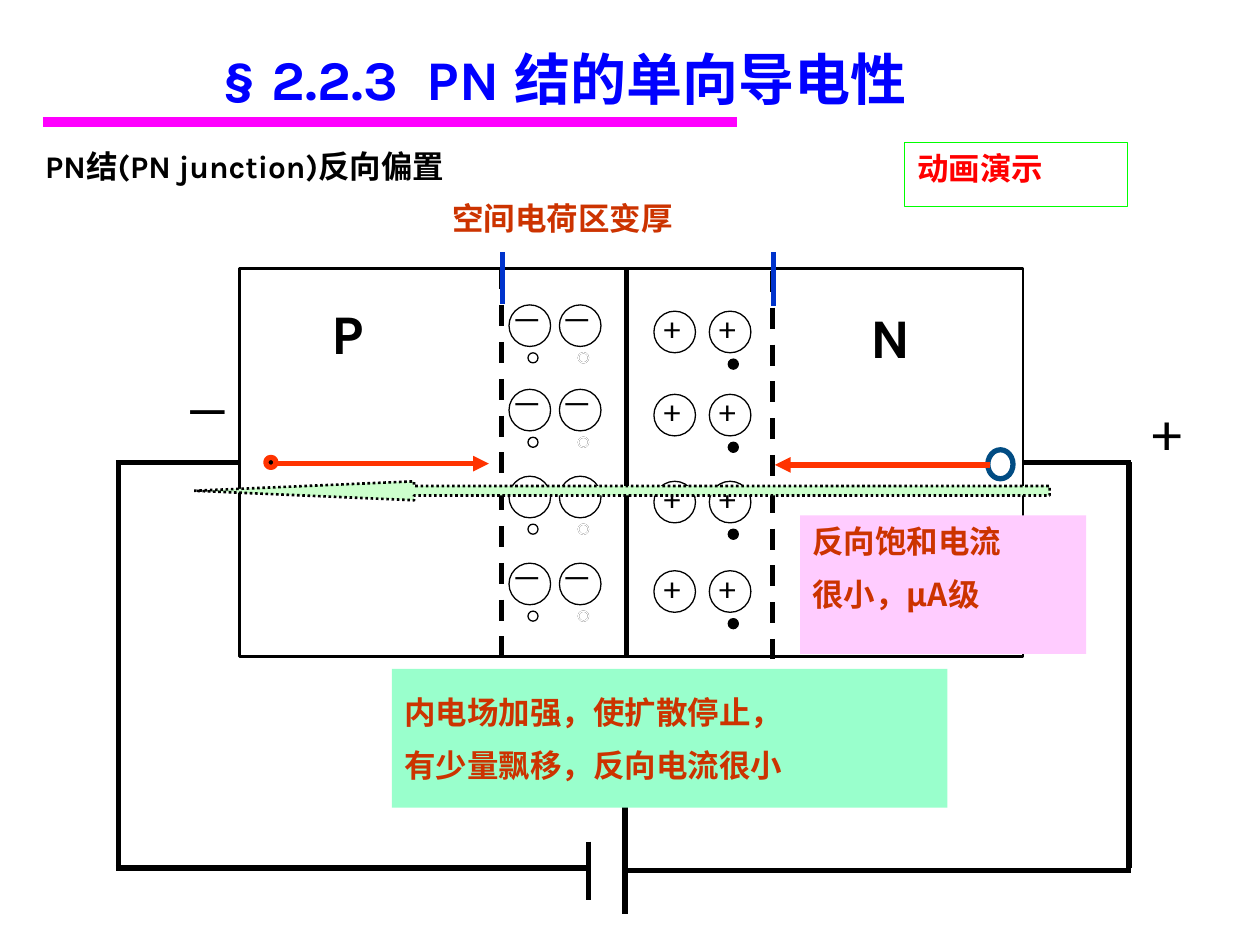
from lxml import etree
from pptx import Presentation
from pptx.dml.color import RGBColor
from pptx.enum.dml import MSO_LINE
from pptx.enum.shapes import MSO_CONNECTOR, MSO_SHAPE
from pptx.enum.text import MSO_ANCHOR, MSO_AUTO_SIZE, PP_ALIGN
from pptx.oxml.ns import qn
from pptx.util import Inches, Pt

LATIN, CJK = "Karla", "Noto Sans CJK SC"
BLACK, RED, RUST, BLUE = "000000", "FF3300", "CC3300", "0000FF"

# Content: places are (left, top, width, height) on a grid of 10 columns by 7.5 rows
TITLE = [("§", 32, BLUE), (" ", 36, "FF0000"), ("2.2.3  PN 结的单向导电性", 32, BLUE)]
TITLE_PLACE = (0.23, -0.01, 8.5, 1.21)
SUBTITLE = [("PN", LATIN), ("结", CJK), ("(PN junction)", LATIN), ("反向偏置", CJK)]
SUBTITLE_PLACE = (0.26, 1.07, 5.15, 0.5)

REGIONS = {"P": (1.9, 2.13, 3.08, 3.08), "N": (4.96, 2.13, 3.16, 3.08)}

# Ions of the space charge region
ION_SIZE, CARRIER_SIZE = 0.33, 0.08
ION_SIDES = [
    dict(sign="－", columns=(4.04, 4.44), rows=(2.42, 3.09, 3.78, 4.47),
         sign_shift=-0.08, sign_width=0.58, carrier_fill=None,
         carrier_lines=(BLACK, BLACK)),
    dict(sign="+", columns=(5.19, 5.63), rows=(2.47, 3.13, 3.82, 4.53),
         sign_shift=-0.02, sign_width=0.42, carrier_fill=BLACK,
         carrier_lines=(None, BLACK)),
]
GHOST_COLUMN = 1  # holes of this P-side column are faded by a white outline

# Lines: (from, to)
RULE = ((0.34, 0.97), (5.85, 0.97))
BOUNDARIES = [((3.98, 2.13), (3.98, 5.21)), ((6.13, 2.15), (6.13, 5.23))]
WIDTH_MARKS = [((3.99, 2), (3.99, 2.41)), ((6.14, 2), (6.14, 2.43))]
LEAD_Y = 3.67
P_LEAD = ((0.92, LEAD_Y), (1.9, LEAD_Y))
N_LEAD = ((8.98, LEAD_Y), (8.12, LEAD_Y))
WIRES = [
    ((0.94, LEAD_Y), (0.94, 6.89)), ((0.92, 6.89), (4.67, 6.89)),
    ((8.96, LEAD_Y), (8.96, 6.89)), ((4.94, 6.91), (8.98, 6.91)),
    ((4.96, 6.33), (4.96, 7.25)), ((4.67, 6.68), (4.67, 7.14)),
]
DRIFTS = [  # carrier place, fill, outline, arrow
    ((2.11, 3.63, 0.08, 0.08), BLACK, RED, ((2.18, 3.68), (3.88, 3.68))),
    ((7.84, 3.57, 0.2, 0.23), None, "014C83", ((7.86, 3.69), (6.15, 3.69))),
]
FIELD_ARROW = (1.54, 3.82, 6.79, 0.15)

LABELS = [  # text, place, size, colour, bold, anchor
    ("空间电荷区变厚", (3.49, 1.48, 3.44, 0.5), 18, RUST, True, MSO_ANCHOR.MIDDLE),
    ("N", (6.81, 2.35, 0.76, 0.63), 32, BLACK, True, MSO_ANCHOR.TOP),
    ("P", (2.53, 2.32, 0.76, 0.63), 32, BLACK, True, MSO_ANCHOR.TOP),
    ("+", (9.05, 3.08, 0.98, 0.63), 32, BLACK, False, MSO_ANCHOR.TOP),
    ("_", (1.39, 2.8, 0.98, 0.63), 32, BLACK, False, MSO_ANCHOR.TOP),
]
NOTES = [  # lines, place, fill, outline, text colour, font, anchor
    (["反向饱和电流", "很小，μA级"], (6.35, 4.09, 2.27, 1.1),
     "FFCCFF", None, RUST, CJK, MSO_ANCHOR.TOP),
    (["内电场加强，使扩散停止，", "有少量飘移，反向电流很小"], (3.11, 5.31, 4.41, 1.1),
     "99FFCC", None, RUST, LATIN, MSO_ANCHOR.MIDDLE),
    (["动画演示"], (7.18, 1.13, 1.77, 0.51),
     None, "00FF00", "FF0000", LATIN, MSO_ANCHOR.TOP),
]

prs = Presentation()
prs.slide_width, prs.slide_height = Inches(10), Inches(7.5)
COL, ROW = prs.slide_width / 10, prs.slide_height / 7.5
slide = prs.slides.add_slide(prs.slide_layouts[5])


def rgb(colour):
    return RGBColor.from_string(colour)


def on_grid(place):
    return [round(v * unit) for v, unit in zip(place, (COL, ROW, COL, ROW))]


def set_line(line, colour, width, dash=None):
    if colour is None:
        line.fill.background()
        return
    line.color.rgb = rgb(colour)
    line.width = Pt(width)
    if dash:
        line.dash_style = dash


def draw_shape(kind, place, fill=None, outline=None, width=0.75, dash=None):
    shape = slide.shapes.add_shape(kind, *on_grid(place))
    shape.shadow.inherit = False
    if fill:
        shape.fill.solid()
        shape.fill.fore_color.rgb = rgb(fill)
    else:
        shape.fill.background()
    set_line(shape.line, outline, width, dash)
    return shape


def draw_line(ends, colour=BLACK, width=3, dash=None, arrow=False):
    start, end = ends
    line = slide.shapes.add_connector(
        MSO_CONNECTOR.STRAIGHT, *on_grid(start), *on_grid(end))
    set_line(line.line, colour, width, dash)
    if arrow:
        etree.SubElement(line.line._get_or_add_ln(), qn("a:tailEnd"), type="triangle")
    etree.SubElement(line._element.spPr, qn("a:effectLst"))
    return line


def write(shape, paragraphs, anchor=MSO_ANCHOR.TOP, align=PP_ALIGN.LEFT):
    """Each paragraph is a list of runs: (text, size, colour, bold, font)."""
    frame = shape.text_frame
    frame_format = dict(word_wrap=True, auto_size=MSO_AUTO_SIZE.NONE,
                        vertical_anchor=anchor,
                        margin_left=Inches(0.1), margin_right=Inches(0.1),
                        margin_top=Inches(0.05), margin_bottom=Inches(0.05))
    for key, value in frame_format.items():
        setattr(frame, key, value)
    for i, runs in enumerate(paragraphs):
        paragraph = frame.add_paragraph() if i else frame.paragraphs[0]
        paragraph.alignment = align
        before = etree.SubElement(paragraph._p.get_or_add_pPr(), qn("a:spcBef"))
        etree.SubElement(before, qn("a:spcPct"), val="50000" if i else "0")
        for text, size, colour, bold, font in runs:
            run = paragraph.add_run()
            run.text = text
            run.font.color.rgb = rgb(colour)
            for key, value in dict(size=Pt(size), bold=bold, name=font).items():
                setattr(run.font, key, value)
            etree.SubElement(run._r.get_or_add_rPr(), qn("a:ea"), typeface=CJK)


def draw_text(place, runs, anchor=MSO_ANCHOR.TOP):
    write(slide.shapes.add_textbox(*on_grid(place)), [runs], anchor)


# Title, rule and subtitle
heading = slide.shapes.title
heading.left, heading.top, heading.width, heading.height = on_grid(TITLE_PLACE)
write(heading, [[(t, size, colour, True, LATIN) for t, size, colour in TITLE]],
      MSO_ANCHOR.MIDDLE, PP_ALIGN.CENTER)
draw_line(RULE, "FF00FF", 6)
draw_text(SUBTITLE_PLACE, [(t, 18, BLACK, True, font) for t, font in SUBTITLE],
          MSO_ANCHOR.MIDDLE)

# P and N regions
regions = {name: draw_shape(MSO_SHAPE.RECTANGLE, place, outline=BLACK, width=1.5)
           for name, place in REGIONS.items()}

# Ions with their carriers
for side in ION_SIDES:
    for number, (x, carrier_line) in enumerate(zip(side["columns"], side["carrier_lines"])):
        for y in side["rows"]:
            draw_shape(MSO_SHAPE.OVAL, (x, y, ION_SIZE, ION_SIZE), outline=BLACK)
            draw_text((x + side["sign_shift"], y - 0.08, side["sign_width"], 0.5),
                      [(side["sign"], 18, BLACK, False, LATIN)])
            carrier = (x + 0.15, y + 0.38, CARRIER_SIZE, CARRIER_SIZE)
            if carrier_line:
                draw_shape(MSO_SHAPE.OVAL, carrier, side["carrier_fill"], carrier_line)
            if side["sign"] == "－" and number == GHOST_COLUMN:
                draw_shape(MSO_SHAPE.OVAL, carrier, outline="FFFFFF")

# Region boundaries and circuit
for boundary in BOUNDARIES:
    draw_line(boundary, dash=MSO_LINE.DASH)
draw_line(P_LEAD).end_connect(regions["P"], 1)
draw_line(N_LEAD).end_connect(regions["N"], 3)
for wire in WIRES:
    draw_line(wire)

# Drifting carriers
for place, fill, outline, path_ends in DRIFTS:
    draw_shape(MSO_SHAPE.OVAL, place, fill, outline, 3)
    draw_line(path_ends, RED, arrow=True)

# Width marks and labels
for mark in WIDTH_MARKS:
    draw_line(mark, "0033CC")
for text, place, size, colour, bold, anchor in LABELS:
    draw_text(place, [(text, size, colour, bold, LATIN)], anchor)

# Field arrow and notes
field = draw_shape(MSO_SHAPE.LEFT_ARROW, FIELD_ARROW, "CCFFCC", BLACK, 1.5,
                   MSO_LINE.ROUND_DOT)
field.adjustments[0], field.adjustments[1] = 0.5, 11.64
for lines, place, fill, outline, colour, font, anchor in NOTES:
    note = draw_shape(MSO_SHAPE.RECTANGLE, place, fill, outline)
    write(note, [[(line, 18, colour, True, font)] for line in lines], anchor)

prs.save("out.pptx")
